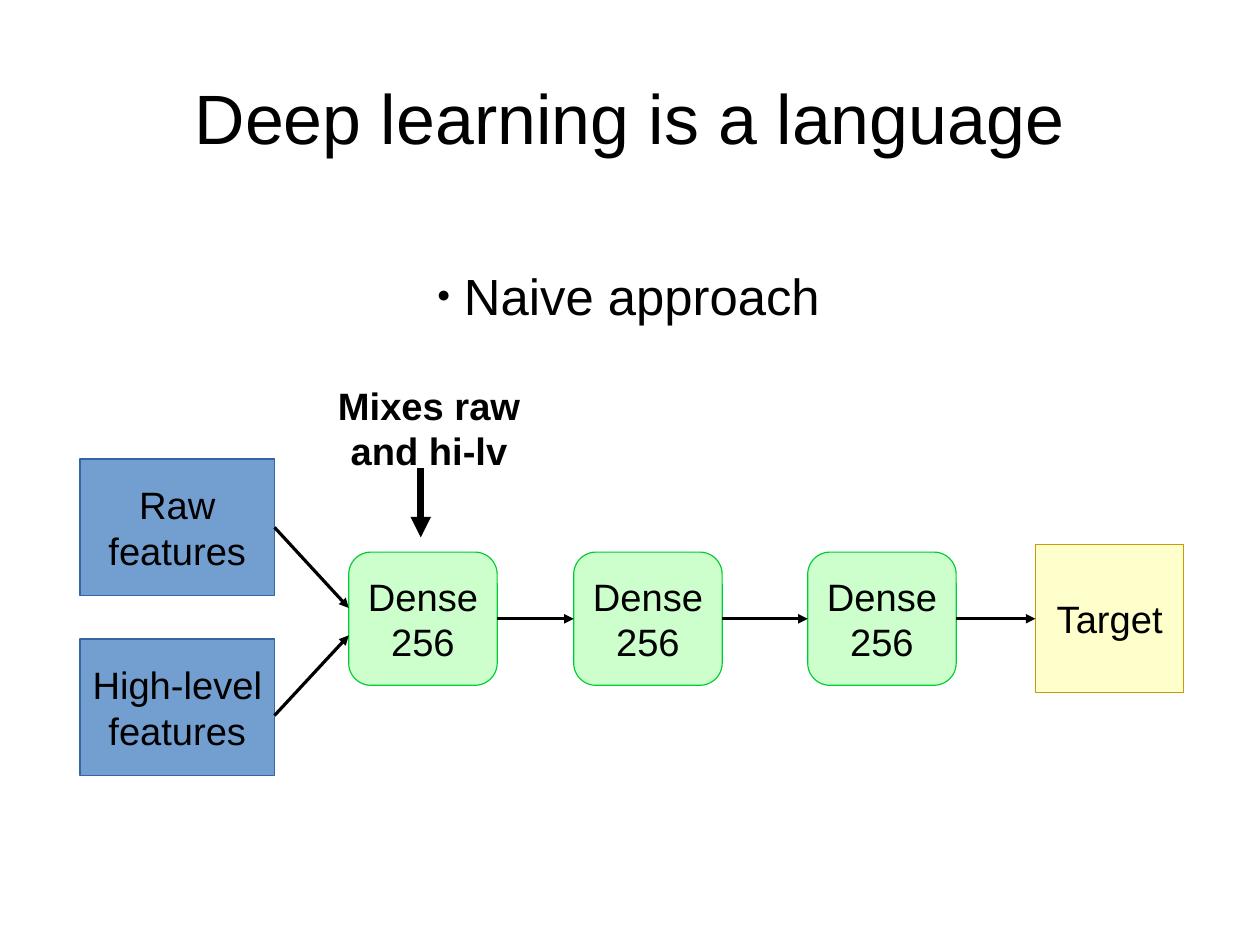
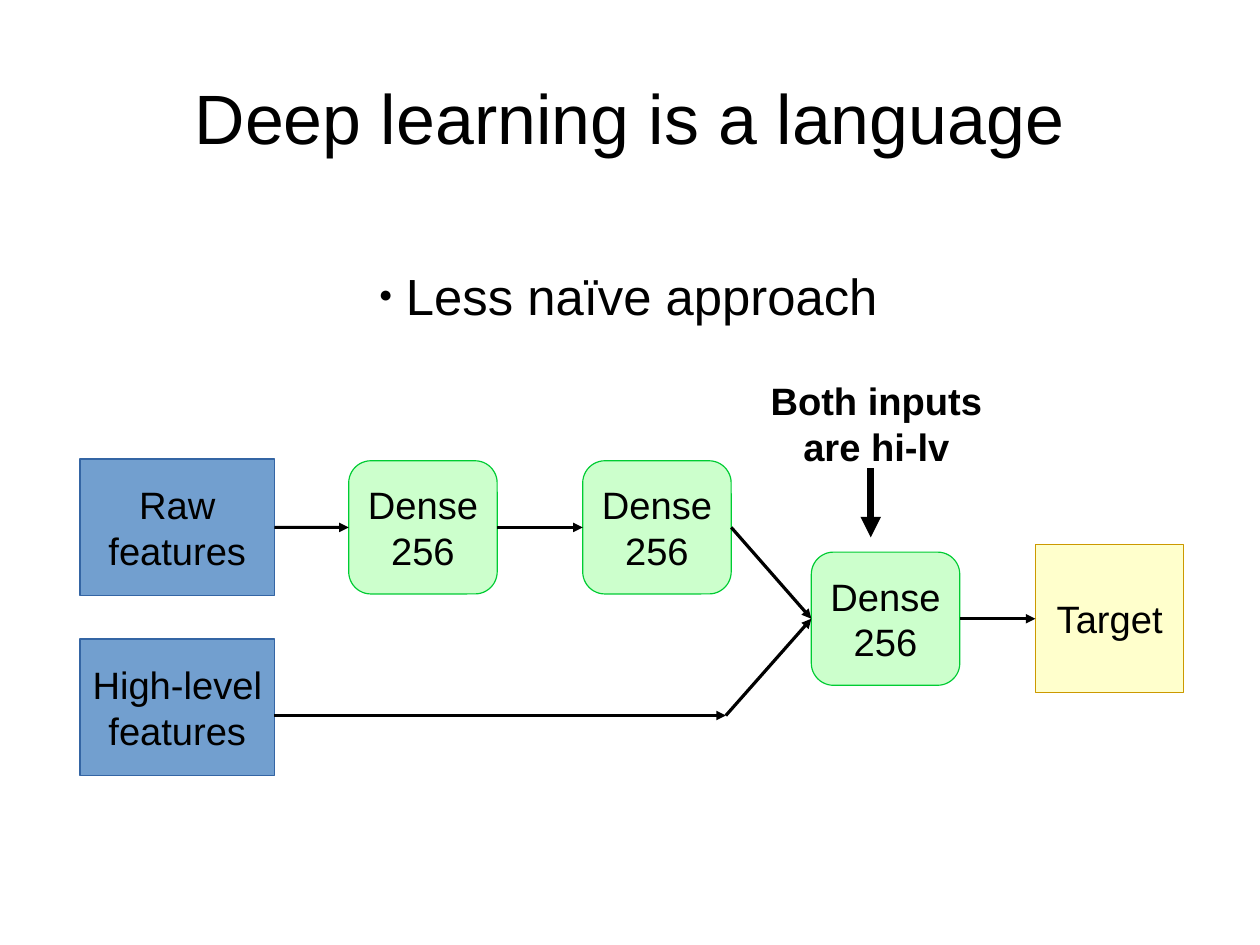
"""Build two slides that compare a naive and a less naive network layout."""
from lxml import etree
from pptx import Presentation
from pptx.dml.color import RGBColor
from pptx.enum.shapes import MSO_CONNECTOR, MSO_SHAPE
from pptx.enum.text import MSO_ANCHOR, PP_ALIGN
from pptx.oxml.ns import qn
from pptx.util import Cm, Pt

COLORS = {
    "text": "000000",
    "input": "729FCF", "input_line": "3465A4",
    "dense": "CCFFCC", "dense_line": "00CC33",
    "target": "FFFFCC", "target_line": "CC9900",
}
LEFT, RIGHT = 1, 3
DENSE_SIZE = (3.3, 2.96)
UPPER_TOP, MIDDLE_TOP = 10.24, 12.27
RAW = ("raw", "input", "Raw\nfeatures", 1.78, 10.2, 4.32, 3.04)
HIGH = ("high", "input", "High-level\nfeatures", 1.78, 14.2, 4.32, 3.04)
TARGET = ("target", "target", "Target", 23.01, 12.1, 3.3, 3.3)
HIGH_EXIT = (6.1, 15.9)
BEND = (16.13, 15.9)

SLIDES = [
    {
        "subtitle": "Naive approach",
        "dense": [(7.75, MIDDLE_TOP), (12.75, MIDDLE_TOP), (17.95, MIDDLE_TOP)],
        "arrows": [("raw", (7.75, 13.51)), (HIGH_EXIT, (7.75, 14.12)),
                   ("dense1", "dense2"), ("dense2", "dense3"), ("dense3", "target")],
        "callout": ("Mixes raw\nand hi-lv", 7.26, 8.36, 4.55),
        "callout_arrow": 9.35,
    },
    {
        "subtitle": "Less naïve approach",
        "dense": [(7.75, UPPER_TOP), (12.95, UPPER_TOP), (18.03, MIDDLE_TOP)],
        "arrows": [("raw", "dense1"), ("dense1", "dense2"), ("dense2", "dense3"),
                   (HIGH_EXIT, BEND), (BEND, "dense3"), ("dense3", "target")],
        "callout": ("Both inputs\nare hi-lv", 16.87, 8.26, 5.21),
        "callout_arrow": 19.35,
    },
]


def write_text(shape, text, size, bold=False, anchor=MSO_ANCHOR.MIDDLE, margins=(0.25, 0.13), wrap=False):
    frame = shape.text_frame
    frame.text = text
    across, down = (Cm(margin) for margin in margins)
    frame_format = {"word_wrap": wrap, "vertical_anchor": anchor, "margin_left": across,
                    "margin_right": across, "margin_top": down, "margin_bottom": down}
    for name, value in frame_format.items():
        setattr(frame, name, value)
    for para in frame.paragraphs:
        para.alignment = PP_ALIGN.CENTER
        for span in para.runs:
            for name, value in {"name": "Arial", "size": Pt(size), "bold": bold}.items():
                setattr(span.font, name, value)
            span.font.color.rgb = RGBColor.from_string(COLORS["text"])


def draw_arrow(slide, boxes, start, end, width=0):
    points = [point if isinstance(point, tuple) else (0, 0) for point in (start, end)]
    arrow = slide.shapes.add_connector(
        MSO_CONNECTOR.STRAIGHT, *[Cm(value) for point in points for value in point])
    if start in boxes:
        arrow.begin_connect(boxes[start], RIGHT)
    if end in boxes:
        arrow.end_connect(boxes[end], LEFT)
    arrow.line.color.rgb = RGBColor.from_string(COLORS["text"])
    arrow.line.width = Pt(width)
    outline = arrow.line._get_or_add_ln()
    etree.SubElement(outline, qn("a:tailEnd"), type="triangle")
    etree.SubElement(arrow._element.spPr, qn("a:effectLst"))


deck = Presentation()
deck.slide_width, deck.slide_height = Cm(28), Cm(21)

for content in SLIDES:
    slide = deck.slides.add_slide(deck.slide_layouts[5])
    title = slide.shapes.title
    title_place = {"left": 1.4, "top": 0.84, "width": 25.2, "height": 3.5}
    for name, value in title_place.items():
        setattr(title, name, Cm(value))
    write_text(title, "Deep learning is a language", 44, margins=(0, 0), wrap=True)

    subtitle = slide.shapes.add_textbox(Cm(0.15), Cm(5.75), Cm(27.64), Cm(6.58))
    write_text(subtitle, content["subtitle"], 32, anchor=MSO_ANCHOR.TOP, wrap=True)
    properties = subtitle.text_frame.paragraphs[0]._p.get_or_add_pPr()
    properties.set("marL", str(Cm(0.6)))
    properties.set("indent", str(-Cm(0.6)))
    bullet_color = etree.SubElement(properties, qn("a:buClr"))
    etree.SubElement(bullet_color, qn("a:srgbClr"), val=COLORS["text"])
    etree.SubElement(properties, qn("a:buSzPct"), val="45000")
    etree.SubElement(properties, qn("a:buFont"), typeface="Arial")
    etree.SubElement(properties, qn("a:buChar"), char="●")

    layers = [(f"dense{number}", "dense", "Dense\n256", *corner, *DENSE_SIZE)
              for number, corner in enumerate(content["dense"], 1)]
    boxes = {}
    for key, kind, text, *place in [RAW, HIGH, TARGET, *layers]:
        outline_shape = MSO_SHAPE.ROUNDED_RECTANGLE if kind == "dense" else MSO_SHAPE.RECTANGLE
        box = slide.shapes.add_shape(outline_shape, *[Cm(value) for value in place])
        box.shadow.inherit = False
        box.fill.solid()
        box.fill.fore_color.rgb = RGBColor.from_string(COLORS[kind])
        box.line.color.rgb = RGBColor.from_string(COLORS[kind + "_line"])
        box.line.width = Pt(0)
        write_text(box, text, 24)
        boxes[key] = box

    for start, end in content["arrows"]:
        draw_arrow(slide, boxes, start, end)

    arrow_x = content["callout_arrow"]
    draw_arrow(slide, boxes, (arrow_x, 10.41), (arrow_x, 11.94), width=4.31)
    text, left, top, width = content["callout"]
    callout = slide.shapes.add_textbox(Cm(left), Cm(top), Cm(width), Cm(2.16))
    write_text(callout, text, 24, bold=True, anchor=MSO_ANCHOR.TOP)

deck.save("out.pptx")
